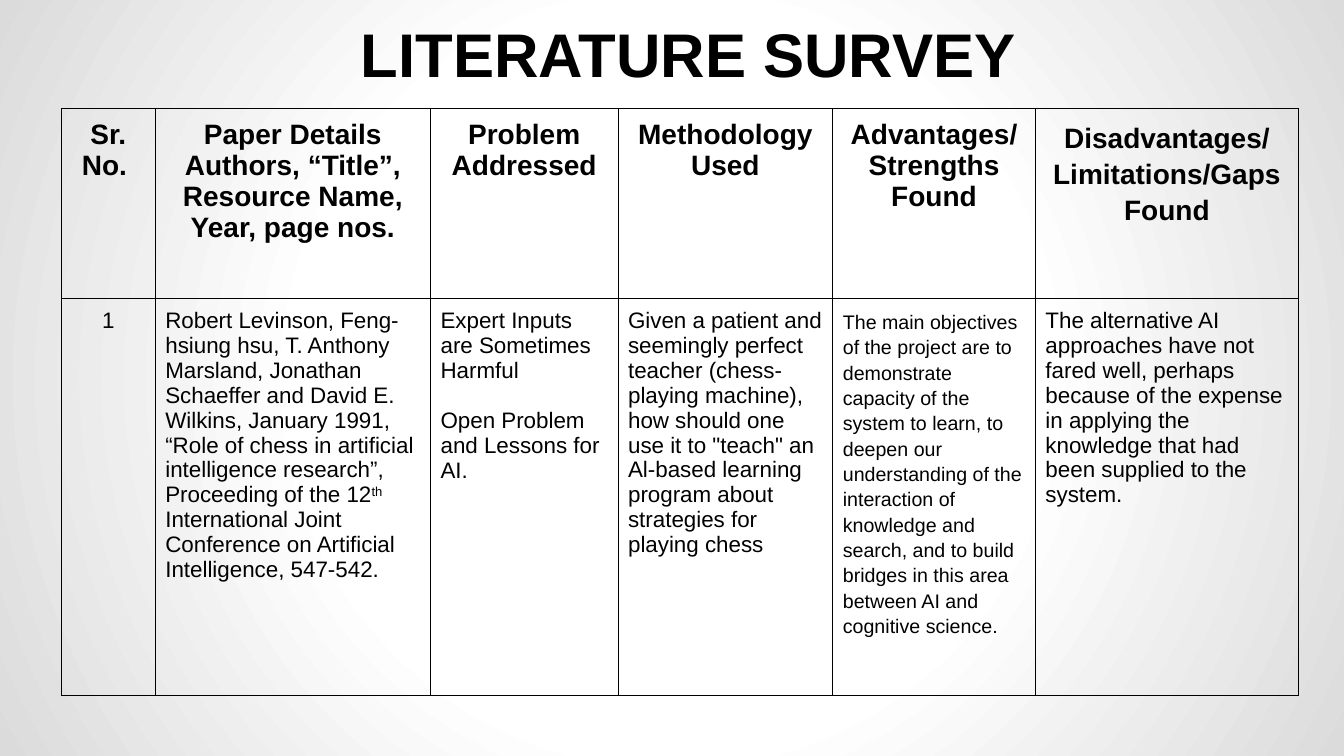
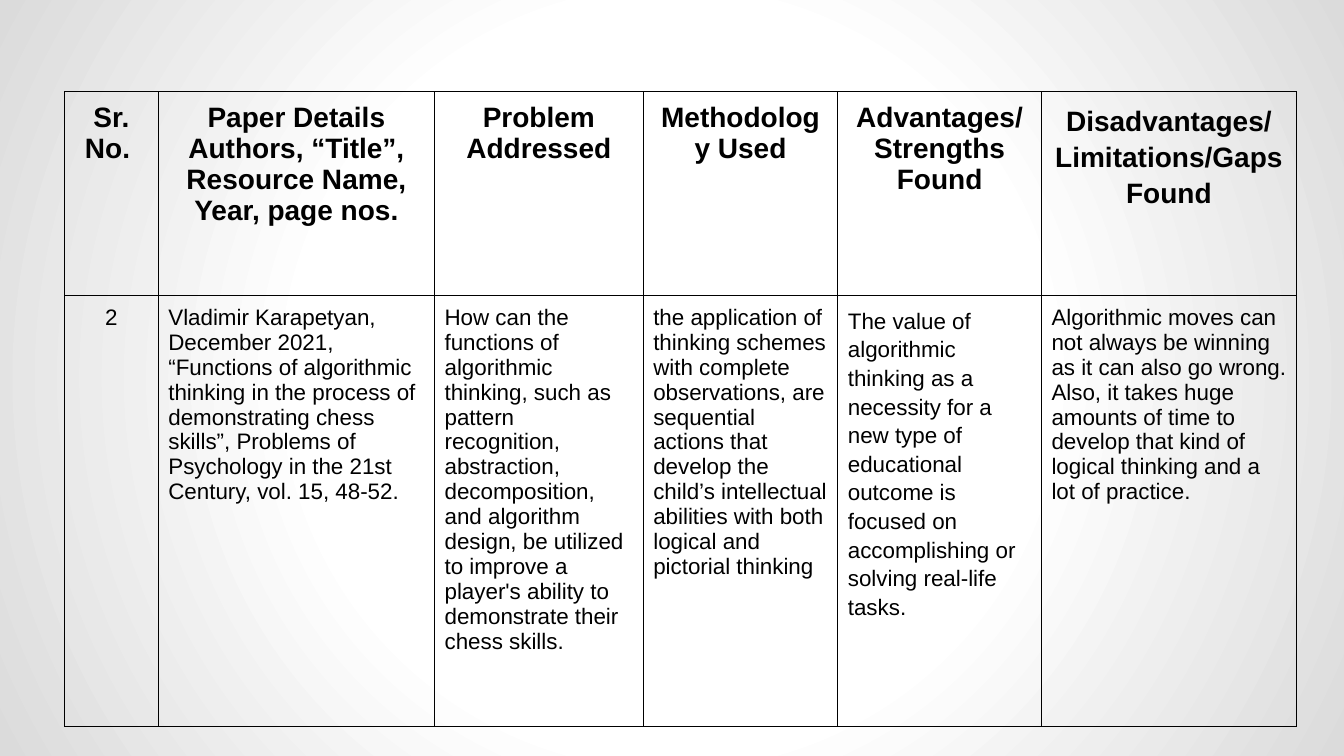
from dataclasses import dataclass

from pptx import Presentation
from pptx.dml.color import RGBColor
from pptx.enum.text import MSO_ANCHOR, MSO_AUTO_SIZE, PP_ALIGN
from pptx.oxml import parse_xml
from pptx.oxml.ns import nsdecls, qn
from pptx.util import Emu, Pt

EMU_PER_PX = 9144  # 100 px to the inch


def px(n: int) -> Emu:
    return Emu(n * EMU_PER_PX)


@dataclass(frozen=True)
class Theme:
    font: str = "Arial"
    ink: str = "000000"
    bg_stops: tuple = ((0, "FFFFFF"), (48, "FFFFFF"), (100, "DBDBDB"))
    title_pt: int = 44
    head_pt: int = 20
    body_pt: int = 16
    small_pt: int = 14
    border_pt: float = 0.75
    inset: int = 10
    loose: float = 1.15


THEME = Theme()


@dataclass(frozen=True)
class CellText:
    paras: tuple[str, ...]  # text between ^ marks is superscript
    size: int = THEME.body_pt
    bold: bool = False
    align: PP_ALIGN = PP_ALIGN.LEFT
    spacing: float = 1.0
    gap_pt: int = 0


@dataclass(frozen=True)
class Survey:
    left: int
    top: int
    cols: tuple[int, ...]
    rows: tuple[int, ...]
    entry: tuple[CellText, ...]
    title: str = ""


def head(*paras: str, spacing: float = 1.0) -> CellText:
    return CellText(paras, THEME.head_pt, True, PP_ALIGN.CENTER, spacing)


def body(*paras: str, **kw) -> CellText:
    return CellText(paras, **kw)


# Content
HEADER = (
    head("Sr. No. "),
    head("Paper Details", "Authors, “Title”, Resource Name, Year, page nos."),
    head("Problem Addressed"),
    head("Methodology Used"),
    head("Advantages/ Strengths Found"),
    head("Disadvantages/ Limitations/Gaps Found", spacing=THEME.loose),
)

SURVEYS = (
    Survey(
        61, 108, (93, 273, 186, 213, 201, 261), (188, 394),
        (
            body("1", align=PP_ALIGN.CENTER),
            body("Robert Levinson, Feng-hsiung hsu, T. Anthony Marsland, Jonathan "
                 "Schaeffer and David E. Wilkins, January 1991, “Role of chess in "
                 "artificial intelligence research”, Proceeding of the 12^th^ "
                 "International Joint Conference on Artificial Intelligence, 547-542."),
            body("Expert Inputs are Sometimes Harmful",
                 "Open Problem and Lessons for AI.", gap_pt=18),
            body("Given a patient and seemingly perfect teacher (chess-playing "
                 "machine), how should one use it to \"teach\" an Al-based learning "
                 "program about strategies for playing chess"),
            body("The main objectives of the project are to demonstrate capacity of "
                 "the system to learn, to deepen our understanding of the interaction "
                 "of knowledge and search, and to build bridges in this area between "
                 "AI and cognitive science.",
                 size=THEME.small_pt, spacing=THEME.loose),
            body("The alternative AI approaches have not fared well, perhaps because "
                 "of the expense in applying the knowledge that had been supplied to "
                 "the system."),
        ),
        title="LITERATURE SURVEY",
    ),
    Survey(
        64, 91, (93, 274, 207, 193, 202, 253), (202, 428),
        (
            body("2", align=PP_ALIGN.CENTER),
            body("Vladimir Karapetyan, December 2021, “Functions of algorithmic "
                 "thinking in the process of demonstrating chess skills”, Problems of "
                 "Psychology in the 21st Century, vol. 15, 48-52."),
            body("How can the functions of algorithmic thinking, such as pattern "
                 "recognition, abstraction, decomposition, and algorithm design, be "
                 "utilized to improve a player's ability to demonstrate their chess "
                 "skills."),
            body("the application of thinking schemes with complete observations, are "
                 "sequential actions that develop the child’s intellectual abilities "
                 "with both logical and pictorial thinking"),
            body("The value of algorithmic thinking as a necessity for a new type of "
                 "educational outcome is focused on accomplishing or solving real-life "
                 "tasks.", spacing=THEME.loose),
            body("Algorithmic moves can not always be winning as it can also go wrong. "
                 "Also, it takes huge amounts of time to develop that kind of logical "
                 "thinking and a lot of practice."),
        ),
    ),
)


# Shared formatting
def set_attrs(obj, values: dict) -> None:
    for name, value in values.items():
        setattr(obj, name, value)


def format_run(r, size: int, bold: bool) -> None:
    set_attrs(r.font, {"name": THEME.font, "size": Pt(size), "bold": bold})
    r.font.color.rgb = RGBColor.from_string(THEME.ink)


def paint_master(prs) -> None:
    master = prs.slide_master
    master.background.fill.solid()
    bg = master.element.find(".//" + qn("p:bgPr"))
    stops = "".join(
        f'<a:gs pos="{pos * 1000}"><a:srgbClr val="{color}"/></a:gs>'
        for pos, color in THEME.bg_stops)
    bg.replace(bg[0], parse_xml(
        f'<a:gradFill {nsdecls("a")} rotWithShape="1"><a:gsLst>{stops}</a:gsLst>'
        '<a:path path="circle"><a:fillToRect l="50000" t="50000" r="50000" '
        'b="50000"/></a:path></a:gradFill>'))


def add_borders(cell) -> None:
    tc_pr = cell._tc.get_or_add_tcPr()
    for i, side in enumerate("LRTB"):
        tc_pr.insert(i, parse_xml(
            f'<a:ln{side} {nsdecls("a")} w="{Pt(THEME.border_pt)}"><a:solidFill>'
            f'<a:srgbClr val="{THEME.ink}"/></a:solidFill></a:ln{side}>'))


# Parts of a slide
def place_title(s, text: str) -> None:
    title = s.shapes.title
    set_attrs(title, {"left": px(348), "top": px(11),
                      "width": px(676), "height": px(84)})
    tf = title.text_frame
    set_attrs(tf, {"word_wrap": True, "auto_size": MSO_AUTO_SIZE.NONE,
                   "vertical_anchor": MSO_ANCHOR.TOP})
    p = tf.paragraphs[0]
    p.alignment = PP_ALIGN.LEFT
    r = p.add_run()
    r.text = text
    format_run(r, THEME.title_pt, True)


def fill_cell(cell, content: CellText) -> None:
    cell.fill.background()
    add_borders(cell)
    set_attrs(cell, {f"margin_{side}": px(THEME.inset)
                     for side in ("left", "right", "top", "bottom")})
    cell.vertical_anchor = MSO_ANCHOR.TOP
    tf = cell.text_frame
    for i, para in enumerate(content.paras):
        p = tf.add_paragraph() if i else tf.paragraphs[0]
        set_attrs(p, {"alignment": content.align, "line_spacing": content.spacing,
                      "space_before": Pt(content.gap_pt if i else 0)})
        for j, piece in enumerate(para.split("^")):
            r = p.add_run()
            r.text = piece
            format_run(r, content.size, content.bold)
            if j % 2:
                r._r.get_or_add_rPr().set("baseline", "30000")


def add_survey_table(s, survey: Survey) -> None:
    table = s.shapes.add_table(
        len(survey.rows), len(survey.cols), px(survey.left), px(survey.top),
        px(sum(survey.cols)), px(sum(survey.rows))).table
    set_attrs(table, {"first_row": False, "horz_banding": False})
    for col, width in zip(table.columns, survey.cols):
        col.width = px(width)
    for row, height, contents in zip(table.rows, survey.rows, (HEADER, survey.entry)):
        row.height = px(height)
        for cell, content in zip(row.cells, contents):
            fill_cell(cell, content)


def main() -> None:
    prs = Presentation()
    set_attrs(prs, {"slide_width": px(1333), "slide_height": px(750)})
    paint_master(prs)
    title_only, blank = prs.slide_layouts[5], prs.slide_layouts[6]
    for survey in SURVEYS:
        s = prs.slides.add_slide(title_only if survey.title else blank)
        add_survey_table(s, survey)
        if survey.title:
            place_title(s, survey.title)
    prs.save("out.pptx")


if __name__ == "__main__":
    main()
